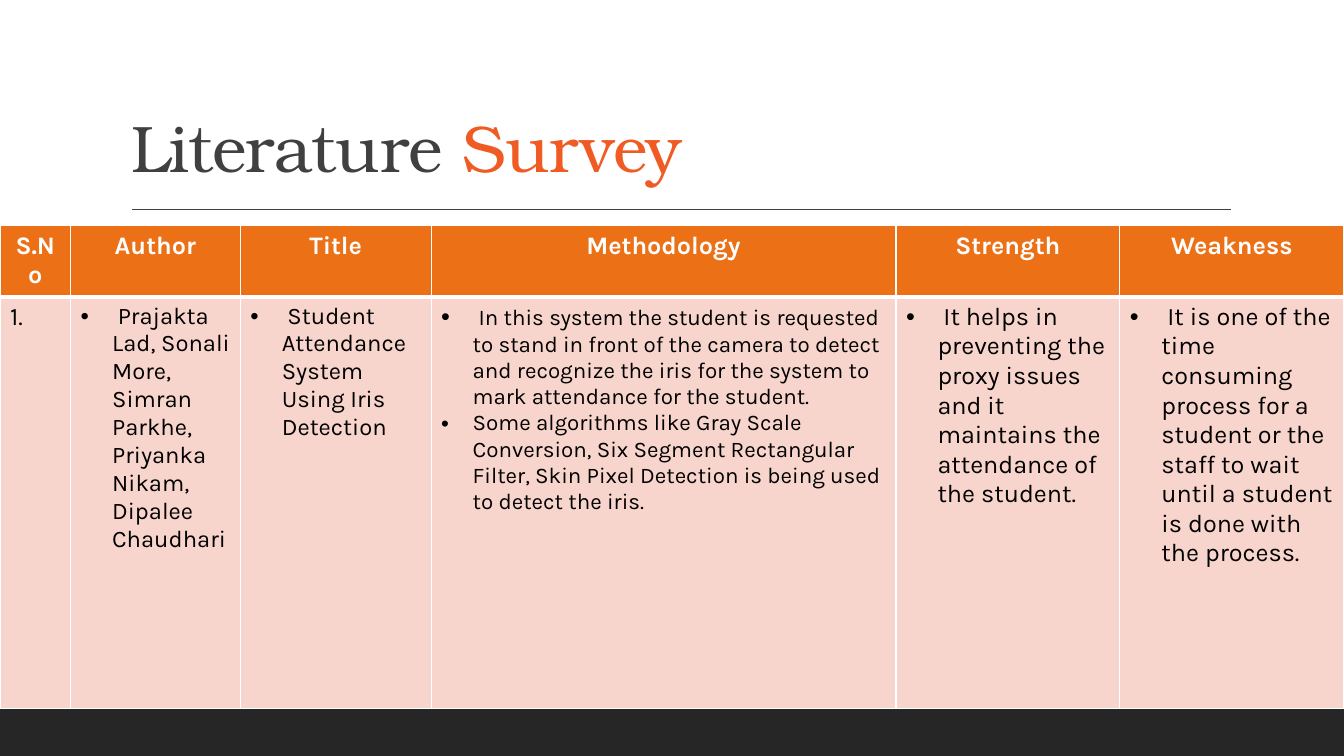
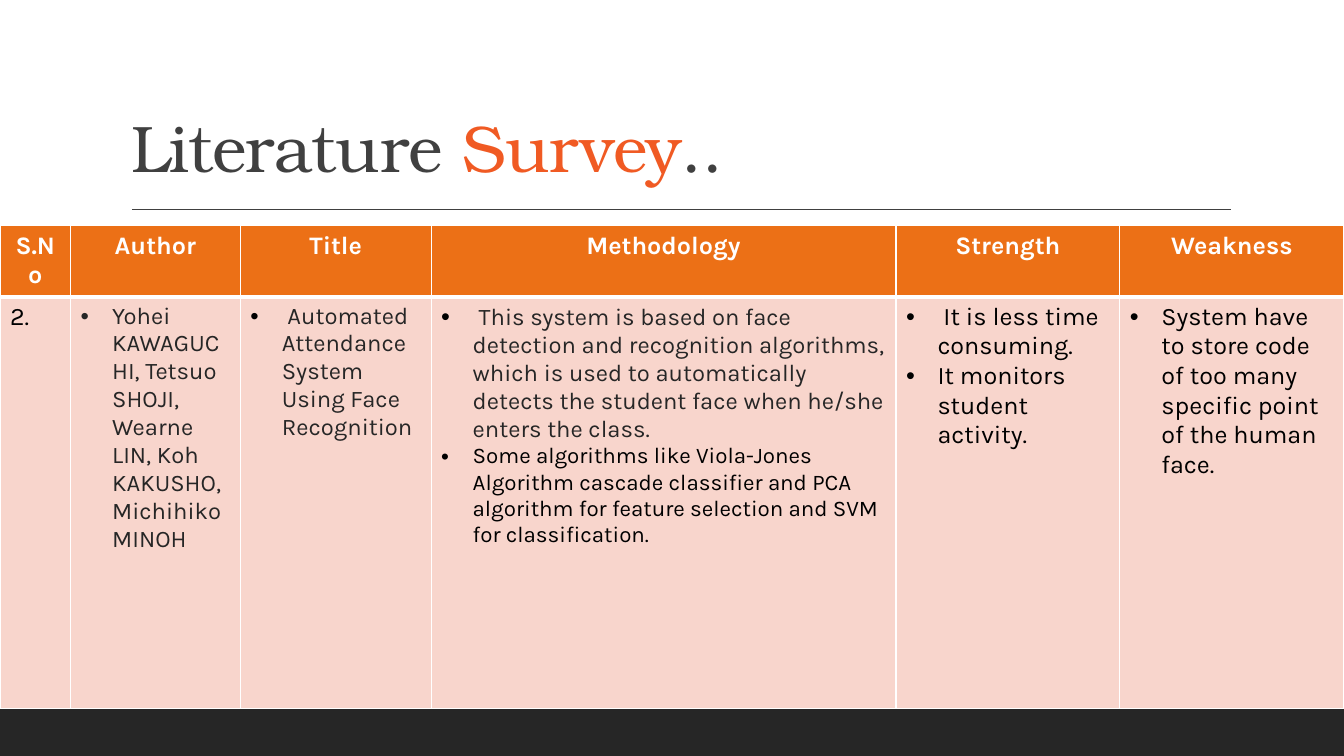
"""Build the two literature survey slides, one table row each."""
from lxml.etree import SubElement
from pptx import Presentation
from pptx.dml.color import RGBColor
from pptx.enum.shapes import MSO_CONNECTOR, MSO_SHAPE
from pptx.enum.text import MSO_ANCHOR, MSO_AUTO_SIZE, PP_ALIGN
from pptx.oxml.ns import qn
from pptx.util import Pt

TITLE_FONT, BODY_FONT = "TeX Gyre Bonum", "Karla"
WHITE, BLACK, DARK, GREY = "FFFFFF", "000000", "262626", "404040"
ACCENT, HEADER_FILL, ROW_FILL = "F05A23", "EC7016", "F8D5CC"
HEADINGS = ["S.No", "Author", "Title", "Methodology", "Strength", "Weakness"]
COLUMN_WIDTHS = [50.4, 121.2, 136.4, 332, 160, 160]
ROW_HEIGHTS = [51, 294]
BULLET_INDENT = Pt(22.5)

SURVEYS = [
    (
        [("Literature ", GREY), ("Survey", ACCENT)],
        [
            [[("1.", 18, BLACK)]],
            [[(" Prajakta Lad, Sonali More, Simran Parkhe, Priyanka Nikam, "
               "Dipalee Chaudhari", 17, BLACK)]],
            [[(" Student Attendance System Using Iris Detection", 17, BLACK)]],
            [
                [(" ", 18, BLACK),
                 ("In this system the student is requested to stand in front of the "
                  "camera to detect and recognize the iris for the system to mark "
                  "attendance for the student.", 16, BLACK)],
                [("Some algorithms like Gray Scale Conversion, Six Segment Rectangular "
                  "Filter, Skin Pixel Detection is being used to detect the iris.",
                  16, BLACK)],
            ],
            [[(" It helps in preventing the proxy issues and it maintains the "
               "attendance of the student.", 18, BLACK)]],
            [[(" It is one of the time consuming process for a student or the staff "
               "to wait until a student is done with the process.", 18, BLACK)]],
        ],
    ),
    (
        [("Literature ", GREY), ("Survey", ACCENT), ("..", GREY)],
        [
            [[("2.", 18, BLACK)]],
            [[("Yohei KAWAGUCHI, Tetsuo SHOJI, Wearne LIN, Koh KAKUSHO, "
               "Michihiko MINOH", 17, DARK)]],
            [[(" ", 17, BLACK),
              ("Automated Attendance System Using Face Recognition", 17, DARK)]],
            [
                [(" ", 18, BLACK),
                 ("This system is based on face detection and recognition algorithms, "
                  "which is used to automatically detects the student face when he/she "
                  "enters the class.", 17, DARK)],
                [("Some algorithms like Viola-Jones Algorithm cascade classifier and "
                  "PCA algorithm for feature selection and SVM for classification.",
                  16, BLACK)],
            ],
            [
                [(" It is less time consuming.", 18, BLACK)],
                [("It monitors student activity.", 18, BLACK)],
            ],
            [[("System have to store code of too many specific point of the human "
               "face.", 18, BLACK)]],
        ],
    ),
]


def rgb(value):
    return RGBColor.from_string(value)


def add_run(paragraph, text, face, size, color, bold=False):
    run = paragraph.add_run()
    run.text = text
    run.font.name = face
    run.font.size = Pt(size)
    run.font.bold = bold
    run.font.color.rgb = rgb(color)
    return run


prs = Presentation()
prs.slide_width, prs.slide_height = Pt(960), Pt(540)

for title_runs, entry in SURVEYS:
    slide = prs.slides.add_slide(prs.slide_layouts[5])
    slide.background.fill.solid()
    slide.background.fill.fore_color.rgb = rgb(WHITE)

    band = slide.shapes.add_shape(MSO_SHAPE.RECTANGLE, 0, Pt(504), Pt(960), Pt(36))
    band.shadow.inherit = False
    band.fill.solid()
    band.fill.fore_color.rgb = rgb(DARK)
    band.line.fill.background()

    rule = slide.shapes.add_connector(
        MSO_CONNECTOR.STRAIGHT, Pt(94.3), Pt(149.5), Pt(879), Pt(149.5))
    rule.line.color.rgb = rgb(GREY)
    rule.line.width = Pt(1)
    SubElement(rule._element.spPr, qn("a:effectLst"))

    title = slide.shapes.title
    title.left, title.top, title.width, title.height = Pt(86.4), Pt(22.5), Pt(792), Pt(114.5)
    title.text_frame.auto_size = MSO_AUTO_SIZE.NONE
    title.text_frame.vertical_anchor = MSO_ANCHOR.BOTTOM
    heading = title.text_frame.paragraphs[0]
    heading.alignment = PP_ALIGN.LEFT
    heading.line_spacing = 0.9
    for text, color in title_runs:
        run = add_run(heading, text, TITLE_FONT, 47, color)
        run._r.get_or_add_rPr().set("spc", "-50")

    survey = slide.shapes.add_table(
        2, len(HEADINGS), 0, Pt(161.3), Pt(960), Pt(sum(ROW_HEIGHTS))).table
    for column, width in zip(survey.columns, COLUMN_WIDTHS):
        column.width = Pt(width)
    for row, height in zip(survey.rows, ROW_HEIGHTS):
        row.height = Pt(height)

    header = [[[(text, 18, WHITE)]] for text in HEADINGS]
    for row_index, row_cells in enumerate([header, entry]):
        is_header = row_index == 0
        for column_index, paragraphs in enumerate(row_cells):
            cell = survey.cell(row_index, column_index)
            borders = {"lnL": 1, "lnR": 1, "lnT": 1 if is_header else 3,
                       "lnB": 3 if is_header else 1}
            for side, width in borders.items():
                border = SubElement(cell._tc.get_or_add_tcPr(), qn(f"a:{side}"), w=str(Pt(width)))
                border_fill = SubElement(border, qn("a:solidFill"))
                SubElement(border_fill, qn("a:srgbClr"), val=WHITE)
            cell.fill.solid()
            cell.fill.fore_color.rgb = rgb(HEADER_FILL if is_header else ROW_FILL)

            frame = cell.text_frame
            for index, runs in enumerate(paragraphs):
                paragraph = frame.add_paragraph() if index else frame.paragraphs[0]
                if is_header:
                    paragraph.alignment = PP_ALIGN.CENTER
                elif column_index > 0:
                    properties = paragraph._p.get_or_add_pPr()
                    properties.set("marL", str(BULLET_INDENT))
                    properties.set("indent", str(-BULLET_INDENT))
                    SubElement(properties, qn("a:buFont"), typeface="Arial")
                    SubElement(properties, qn("a:buChar"), char="•")
                for text, size, color in runs:
                    add_run(paragraph, text, BODY_FONT, size, color, is_header)

prs.save("out.pptx")
